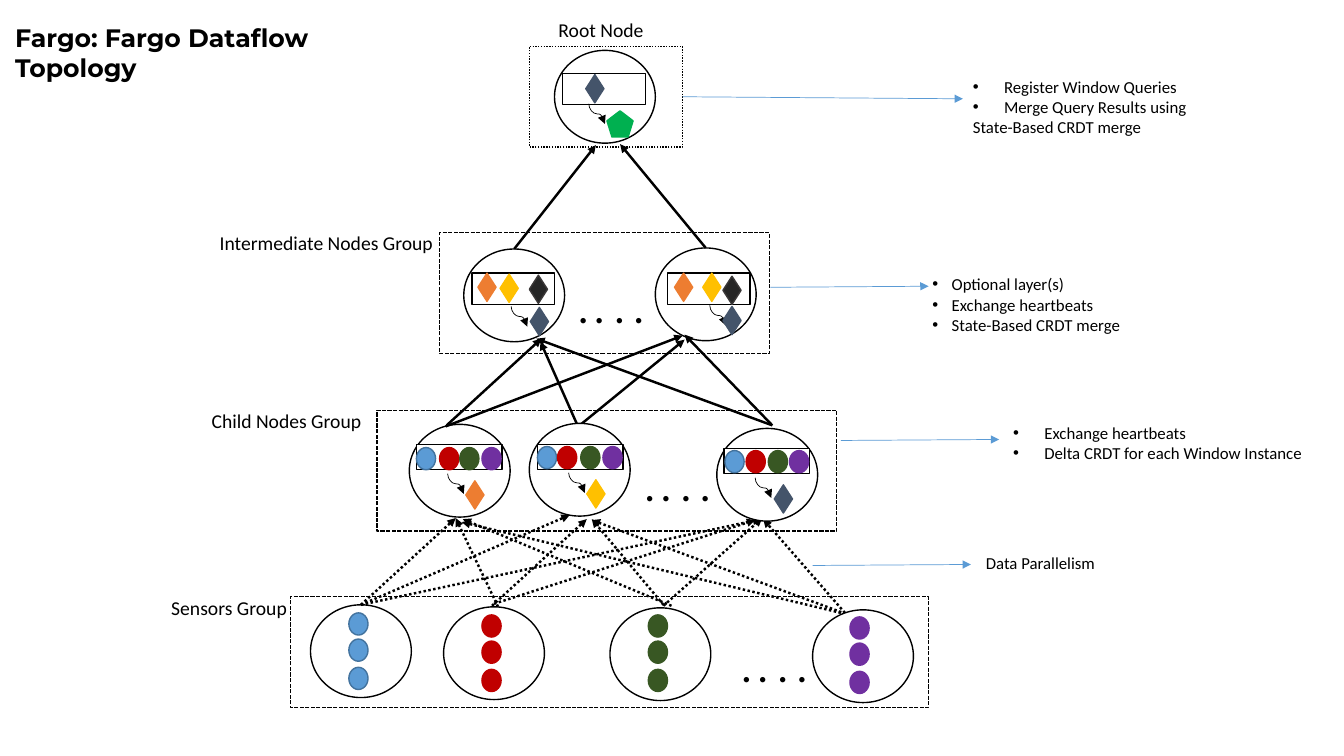
from lxml.etree import SubElement
from pptx import Presentation
from pptx.dml.color import RGBColor
from pptx.enum.dml import MSO_LINE
from pptx.enum.shapes import MSO_CONNECTOR, MSO_SHAPE
from pptx.enum.text import MSO_ANCHOR, MSO_AUTO_SIZE, PP_ALIGN
from pptx.oxml.ns import qn
from pptx.util import Emu, Pt

PX = 9144
BLACK, WHITE = "000000", "FFFFFF"
BLUE, RED, GREEN, PURPLE = "5B9BD5", "C00000", "385723", "7030A0"
ORANGE, YELLOW, DARK, SLATE = "ED7D31", "FFC000", "262626", "44546A"
OUTLINES = {WHITE: BLACK, BLUE: "43739E", DARK: "3B3838"}

presentation = Presentation()
presentation.slide_width, presentation.slide_height = Emu(1333 * PX), Emu(750 * PX)
slide = presentation.slides.add_slide(presentation.slide_layouts[5])


def add_figure(kind, left, top, width, height, fill=WHITE, dash=None):
    shape = slide.shapes.add_shape(kind, left * PX, top * PX, width * PX, height * PX)
    shape.shadow.inherit = False
    shape.fill.solid()
    shape.fill.fore_color.rgb = RGBColor.from_string(fill)
    shape.line.color.rgb = RGBColor.from_string(OUTLINES.get(fill, fill))
    shape.line.width = Pt(1)
    if dash:
        shape.line.dash_style = dash
    return shape


def add_arrow(start, end, color=BLACK, width=1.75, dash=None, kind=MSO_CONNECTOR.STRAIGHT):
    connector = slide.shapes.add_connector(kind, *(value * PX for value in (*start, *end)))
    connector.line.color.rgb = RGBColor.from_string(color)
    connector.line.width = Pt(width)
    if dash:
        connector.line.dash_style = dash
    SubElement(connector.line._get_or_add_ln(), qn("a:tailEnd"), type="triangle")
    SubElement(connector._element.spPr, qn("a:effectLst"))
    return connector


title = slide.shapes.title
title_place = {"left": 5, "top": 17, "width": 373, "height": 101}
for attribute, value in title_place.items():
    setattr(title, attribute, Emu(value * PX))
frame_format = {"word_wrap": True, "auto_size": MSO_AUTO_SIZE.NONE, "vertical_anchor": MSO_ANCHOR.TOP}
for attribute, value in frame_format.items():
    setattr(title.text_frame, attribute, value)
title.text_frame.text = "Fargo: Fargo Dataflow Topology"
title_paragraph = title.text_frame.paragraphs[0]
title_paragraph.alignment = PP_ALIGN.LEFT
title_font = title_paragraph.runs[0].font
for attribute, value in {"name": "Montserrat", "size": Pt(18), "bold": True}.items():
    setattr(title_font, attribute, value)
title_font.color.rgb = RGBColor.from_string(BLACK)

root_group = add_figure(MSO_SHAPE.RECTANGLE, 525, 46, 152, 100, dash=MSO_LINE.ROUND_DOT)
for place in [(288, 592, 633, 110), (374, 407, 456, 120), (436, 231, 327, 120)]:
    add_figure(MSO_SHAPE.RECTANGLE, *place, dash=MSO_LINE.SQUARE_DOT)

for left, top in [(550, 50), (460, 247), (650, 246), (406, 421), (308, 600)]:
    add_figure(MSO_SHAPE.OVAL, left, top, 100, 92)

sensor_links = [
    ((358, 600), (452, 514)), ((488, 601), (582, 515)), ((658, 601), (756, 514)),
    ((358, 600), (565, 511)), ((358, 600), (755, 515)), ((494, 602), (452, 514)),
    ((658, 600), (587, 515)), ((838, 608), (757, 515)), ((490, 599), (749, 516)),
    ((666, 601), (459, 515)), ((834, 608), (458, 518)), ((839, 609), (587, 516)),
]
node_links = [
    ((443, 422), (537, 336)), ((442, 423), (677, 333)), ((766, 422), (679, 332)),
    ((766, 422), (532, 336)), ((575, 427), (536, 339)), ((570, 426), (679, 337)),
    ((510, 247), (591, 144)), ((700, 246), (615, 143)),
]
for start, end in sensor_links:
    add_arrow(start, end, dash=MSO_LINE.ROUND_DOT)
for start, end in node_links:
    add_arrow(start, end)

for left, top in [(440, 602), (605, 603), (806, 605), (525, 420), (711, 425)]:
    add_figure(MSO_SHAPE.OVAL, left, top, 100, 92)

for left, top in [(558, 73), (468, 271), (662, 271)]:
    add_figure(MSO_SHAPE.RECTANGLE, left, top, 82, 31)
for left, top in [(413, 441), (533, 441), (718, 445)]:
    add_figure(MSO_SHAPE.RECTANGLE, left, top, 85, 25)

for left, top in [(584, 103), (507, 304), (704, 303), (444, 470), (564, 469), (749, 474)]:
    curve = add_arrow((left + 18, top + 2), (left - 2, top + 18), width=0.5, kind=MSO_CONNECTOR.CURVE)
    curve._element.spPr.find(qn("a:xfrm")).set("rot", "16200000")

window_results = [
    (581, 74, SLATE), (474, 271, ORANGE), (496, 272, YELLOW), (525, 273, DARK), (526, 305, SLATE),
    (669, 271, ORANGE), (697, 271, YELLOW), (717, 274, DARK), (717, 304, SLATE),
    (462, 477, ORANGE), (582, 476, YELLOW), (768, 481, SLATE),
]
for left, top, color in window_results:
    add_figure(MSO_SHAPE.DIAMOND, left, top, 18, 28, color)
add_figure(MSO_SHAPE.REGULAR_PENTAGON, 602, 110, 26, 26, "00B050")

event_colors = (BLUE, RED, GREEN, PURPLE)
for left, top, color in zip((346, 478, 643, 843), (608, 610, 610, 612), event_colors):
    for offset in (0, 26, 54):
        add_figure(MSO_SHAPE.OVAL, left, top + offset, 19, 22, color)
child_events = [
    (444, (413, 436, 456, 478)), (443, (533, 553, 576, 598)), (447, (719, 740, 762, 783)),
]
for top, lefts in child_events:
    for left, color in zip(lefts, event_colors):
        add_figure(MSO_SHAPE.OVAL, left, top, 19, 22, color)

note_links = [
    ((677, 96), (955, 98)), ((806, 561), (963, 560)), ((834, 437), (991, 436)), ((764, 285), (921, 284)),
]
note_arrows = [add_arrow(start, end, BLUE, 0.5) for start, end in note_links]
note_arrows[0].begin_connect(root_group, 3)

texts = [
    (160, 586, 136, 57, 14, 0, ["Sensors Group"]),
    (200, 401, 170, 34, 14, 0, ["Child Nodes Group"]),
    (208, 224, 234, 64, 14, 0, ["Intermediate Nodes Group"]),
    (544, 13, 105, 94, 14, 0, ["Root Node"]),
    (955, 71, 238, 71, 12, 31,
     ["• Register Window Queries", "• Merge Query Results using", "State-Based CRDT merge"]),
    (968, 543, 130, 30, 12, 0, ["Data Parallelism"]),
    (995, 414, 310, 50, 12, 31, ["• Exchange heartbeats", "• Delta CRDT for each Window Instance"]),
    (915, 267, 208, 91, 12, 19,
     ["• Optional layer(s)", "• Exchange heartbeats", "• State-Based CRDT merge"]),
]
for left, top in [(725, 628), (629, 448), (563, 272)]:
    texts += [(left + offset, top, 32, 64, 32, 0, ["."]) for offset in (0, 16, 36, 55)]

for left, top, width, height, size, indent, lines in texts:
    box = slide.shapes.add_textbox(left * PX, top * PX, width * PX, height * PX)
    box.text_frame.word_wrap = False
    box.text_frame.auto_size = MSO_AUTO_SIZE.SHAPE_TO_FIT_TEXT
    for index, line in enumerate(lines):
        paragraph = box.text_frame.paragraphs[0] if index == 0 else box.text_frame.add_paragraph()
        if line.startswith("• "):
            properties = paragraph._p.get_or_add_pPr()
            properties.set("marL", str(indent * PX))
            properties.set("indent", str(-indent * PX))
            SubElement(properties, qn("a:buFont"), typeface="Arial")
            SubElement(properties, qn("a:buChar"), char="•")
        run = paragraph.add_run()
        run.text = line.removeprefix("• ")
        for attribute, value in {"name": "Calibri", "size": Pt(size)}.items():
            setattr(run.font, attribute, value)
        run.font.color.rgb = RGBColor.from_string(BLACK)

presentation.save("out.pptx")
